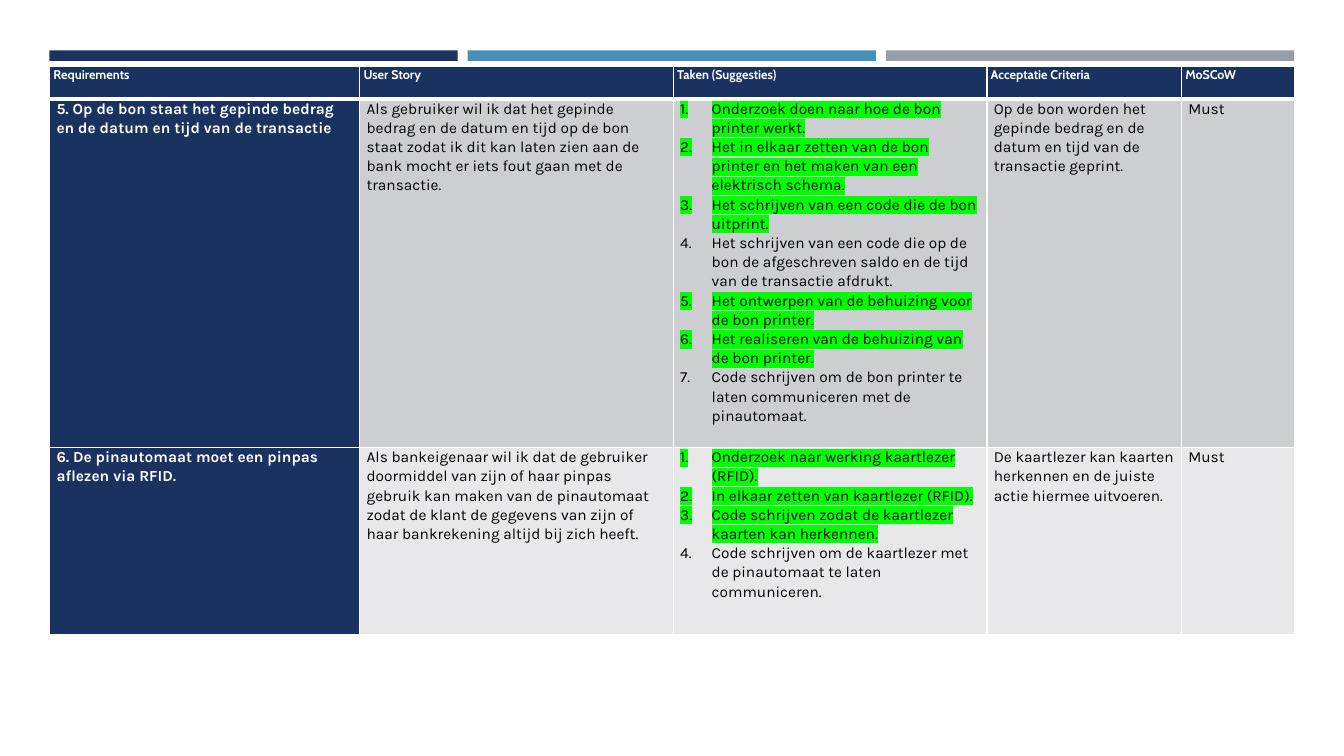
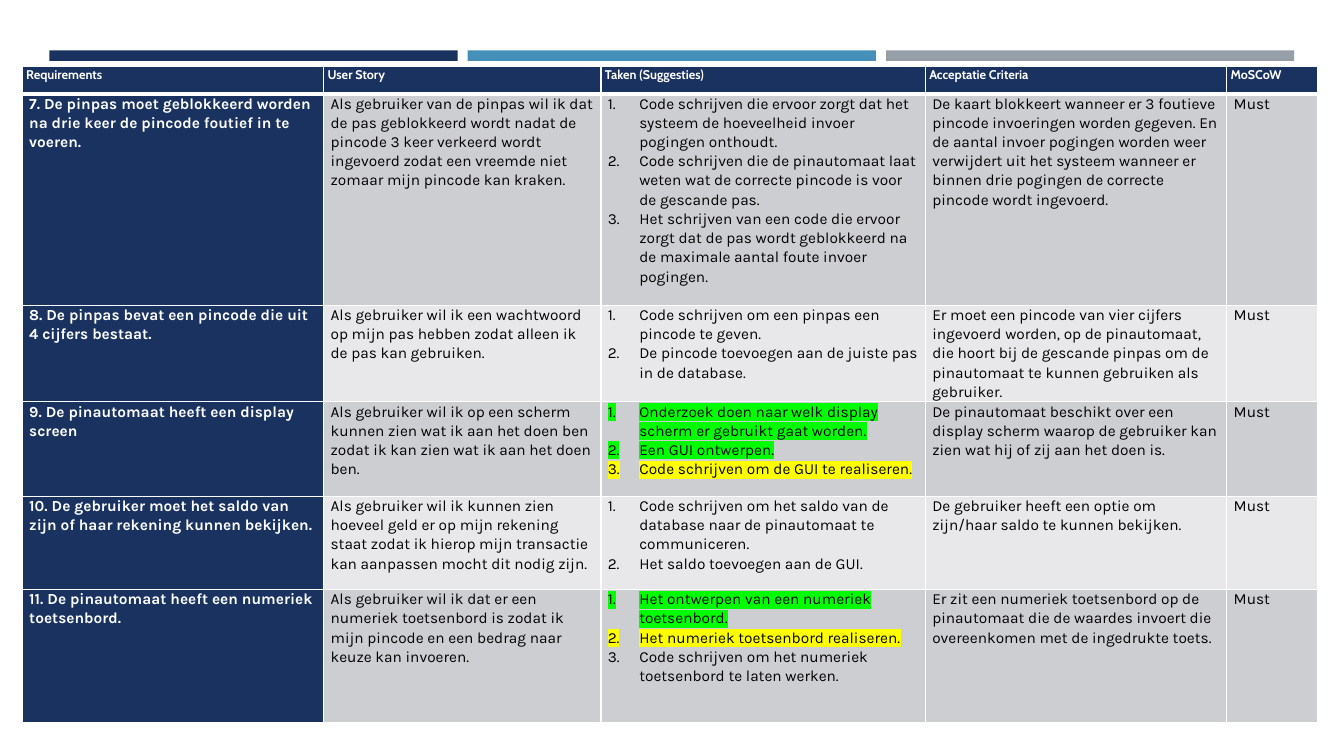
from dataclasses import dataclass

from lxml import etree
from pptx import Presentation
from pptx.dml.color import RGBColor as RGB
from pptx.enum.shapes import MSO_SHAPE as Shape
from pptx.oxml.ns import qn
from pptx.util import Pt

# Content: requirement, user story, tasks with their state, criterion, priority
OPEN, DONE, BUSY = "open", "done", "busy"
HEADINGS = ("Requirements", "User Story", "Taken (Suggesties)", "Acceptatie Criteria", "MoSCoW")

RECEIPT_AND_CARD = [
    ("5. Op de bon staat het gepinde bedrag en de datum en tijd van de transactie",
     "Als gebruiker wil ik dat het gepinde bedrag en de datum en tijd op de bon staat zodat ik dit "
     "kan laten zien aan de bank mocht er iets fout gaan met de transactie.",
     [("Onderzoek doen naar hoe de bon printer werkt.", DONE),
      ("Het in elkaar zetten van de bon printer en het maken van een elektrisch schema.", DONE),
      ("Het schrijven van een code die de bon uitprint.", DONE),
      ("Het schrijven van een code die op de bon de afgeschreven saldo en de tijd van de "
       "transactie afdrukt.", OPEN),
      ("Het ontwerpen van de behuizing voor de bon printer.", DONE),
      ("Het realiseren van de behuizing van de bon printer.", DONE),
      ("Code schrijven om de bon printer te laten communiceren met de pinautomaat.", OPEN)],
     "Op de bon worden het gepinde bedrag en de datum en tijd van de transactie geprint.",
     "Must"),
    ("6. De pinautomaat moet een pinpas aflezen via RFID.",
     "Als bankeigenaar wil ik dat de gebruiker doormiddel van zijn of haar pinpas gebruik kan maken "
     "van de pinautomaat zodat de klant de gegevens van zijn of haar bankrekening altijd bij zich "
     "heeft.",
     [("Onderzoek naar werking kaartlezer (RFID).", DONE),
      ("In elkaar zetten van kaartlezer (RFID).", DONE),
      ("Code schrijven zodat de kaartlezer kaarten kan herkennen.", DONE),
      ("Code schrijven om de kaartlezer met de pinautomaat te laten communiceren.", OPEN)],
     "De kaartlezer kan kaarten herkennen en de juiste actie hiermee uitvoeren.",
     "Must"),
]

PIN_AND_SCREEN = [
    ("7. De pinpas moet geblokkeerd worden na drie keer de pincode foutief in te voeren.",
     "Als gebruiker van de pinpas wil ik dat de pas geblokkeerd wordt nadat de pincode 3 keer "
     "verkeerd wordt ingevoerd zodat een vreemde niet zomaar mijn pincode kan kraken.",
     [("Code schrijven die ervoor zorgt dat het systeem de hoeveelheid invoer pogingen onthoudt.",
       OPEN),
      ("Code schrijven die de pinautomaat laat weten wat de correcte pincode is voor de gescande "
       "pas.", OPEN),
      ("Het schrijven van een code die ervoor zorgt dat de pas wordt geblokkeerd na de maximale "
       "aantal foute invoer pogingen.", OPEN)],
     "De kaart blokkeert wanneer er 3 foutieve pincode invoeringen worden gegeven. En de aantal "
     "invoer pogingen worden weer verwijdert uit het systeem wanneer er binnen drie pogingen de "
     "correcte pincode wordt ingevoerd.",
     "Must"),
    ("8. De pinpas bevat een pincode die uit 4 cijfers bestaat.",
     "Als gebruiker wil ik een wachtwoord op mijn pas hebben zodat alleen ik de pas kan gebruiken.",
     [("Code schrijven om een pinpas een pincode te geven.", OPEN),
      ("De pincode toevoegen aan de juiste pas in de database.", OPEN)],
     "Er moet een pincode van vier cijfers ingevoerd worden, op de pinautomaat, die hoort bij de "
     "gescande pinpas om de pinautomaat te kunnen gebruiken als gebruiker.",
     "Must"),
    ("9. De pinautomaat heeft een display screen",
     "Als gebruiker wil ik op een scherm kunnen zien wat ik aan het doen ben zodat ik kan zien wat "
     "ik aan het doen ben.",
     [("Onderzoek doen naar welk display scherm er gebruikt gaat worden.", DONE),
      ("Een GUI ontwerpen.", DONE),
      ("Code schrijven om de GUI te realiseren.", BUSY)],
     "De pinautomaat beschikt over een display scherm waarop de gebruiker kan zien wat hij of zij "
     "aan het doen is.",
     "Must"),
    ("10. De gebruiker moet het saldo van zijn of haar rekening kunnen bekijken.",
     "Als gebruiker wil ik kunnen zien hoeveel geld er op mijn rekening staat zodat ik hierop mijn "
     "transactie kan aanpassen mocht dit nodig zijn.",
     [("Code schrijven om het saldo van de database naar de pinautomaat te communiceren.", OPEN),
      ("Het saldo toevoegen aan de GUI.", OPEN)],
     "De gebruiker heeft een optie om zijn/haar saldo te kunnen bekijken.",
     "Must"),
    ("11. De pinautomaat heeft een numeriek toetsenbord.",
     "Als gebruiker wil ik dat er een numeriek toetsenbord is zodat ik mijn pincode en een bedrag "
     "naar keuze kan invoeren.",
     [("Het ontwerpen van een numeriek toetsenbord.", DONE),
      ("Het numeriek toetsenbord realiseren.", BUSY),
      ("Code schrijven om het numeriek toetsenbord te laten werken.", OPEN)],
     "Er zit een numeriek toetsenbord op de pinautomaat die de waardes invoert die overeenkomen "
     "met de ingedrukte toets.",
     "Must"),
]

# Per slide: requirements, left edge, column widths, row heights (points)
BACKLOG_SLIDES = [
    (RECEIPT_AND_CARD, 35.5, (221.5, 224, 224, 139, 81), (23, 249, 134)),
    (PIN_AND_SCREEN, 16, (215.3, 198, 231.8, 215.3, 65), (19.5, 151, 69, 67.5, 66.5, 95)),
]


@dataclass(frozen=True)
class Theme:
    navy: str = "1A3260"
    blue: str = "4590B8"
    grey: str = "969FA7"
    white: str = "FFFFFF"
    black: str = "000000"
    stripes: tuple = ("CDCED2", "E8E8EA")
    done: str = "00FF00"
    busy: str = "FFFF00"
    heading_font: str = "Cabin"
    body_font: str = "Karla"
    heading_size: float = 9
    body_size: float = 11


THEME = Theme()
MARKERS = {DONE: THEME.done, BUSY: THEME.busy}
TABLE_TOP = 47.5
BAND_LEFT, BAND_TOP, BAND_WIDTH, BAND_HEIGHT, BAND_GAP = 35.3, 36, 291.6, 7.5, 7.2
TASK_INDENT = 22.5


def add_bands(slide):
    for i, color in enumerate((THEME.navy, THEME.blue, THEME.grey)):
        left = BAND_LEFT + i * (BAND_WIDTH + BAND_GAP)
        band = slide.shapes.add_shape(Shape.RECTANGLE, Pt(left), Pt(BAND_TOP),
                                      Pt(BAND_WIDTH), Pt(BAND_HEIGHT))
        band.shadow.inherit = False
        band.fill.solid()
        band.fill.fore_color.rgb = RGB.from_string(color)
        band.line.fill.background()


def add_color(parent, tag, color):
    holder = etree.SubElement(parent, qn(tag))
    etree.SubElement(holder, qn("a:srgbClr")).set("val", color)
    return holder


def set_borders(cell, top, bottom):
    properties = cell._tc.get_or_add_tcPr()
    for i, (side, width) in enumerate((("L", 1), ("R", 1), ("T", top), ("B", bottom))):
        line = etree.Element(qn(f"a:ln{side}"), w=str(Pt(width)))
        add_color(line, "a:solidFill", THEME.white)
        properties.insert(i, line)


def style_cell(cell, fill, padding, top, bottom):
    cell.margin_left = cell.margin_right = Pt(padding)
    cell.margin_top = cell.margin_bottom = Pt(0)
    cell.fill.solid()
    cell.fill.fore_color.rgb = RGB.from_string(fill)
    set_borders(cell, top, bottom)


def write(paragraph, text, font, size, color, bold, marker=None):
    paragraph.text = text
    paragraph.line_spacing = 1.07
    run = paragraph.runs[0]
    run.font.name, run.font.size, run.font.bold = font, Pt(size), bold
    run.font.color.rgb = RGB.from_string(color)
    if marker:
        properties = run._r.get_or_add_rPr()
        highlight = add_color(properties, "a:highlight", marker)
        properties.find(qn("a:solidFill")).addnext(highlight)


def write_tasks(text_frame, tasks):
    for i, (task, state) in enumerate(tasks):
        paragraph = text_frame.add_paragraph() if i else text_frame.paragraphs[0]
        write(paragraph, task, THEME.body_font, THEME.body_size, THEME.black, False,
              MARKERS.get(state))
        properties = paragraph._p.get_or_add_pPr()
        properties.set("marL", str(Pt(TASK_INDENT)))
        properties.set("indent", str(-Pt(TASK_INDENT)))
        etree.SubElement(properties, qn("a:buAutoNum")).set("type", "arabicPeriod")
    paragraph.space_after = Pt(8)


def add_backlog(slide, requirements, left, widths, heights):
    table = slide.shapes.add_table(len(heights), len(widths), Pt(left), Pt(TABLE_TOP),
                                   Pt(sum(widths)), Pt(sum(heights))).table
    table.horz_banding = False
    for column, width in zip(table.columns, widths):
        column.width = Pt(width)
    for row, height in zip(table.rows, heights):
        row.height = Pt(height)

    # Heading row
    for c, heading in enumerate(HEADINGS):
        cell = table.cell(0, c)
        style_cell(cell, THEME.navy, 2.7, 1, 3)
        paragraph = cell.text_frame.paragraphs[0]
        write(paragraph, heading, THEME.heading_font, THEME.heading_size, THEME.white, True)
        paragraph.space_after = Pt(8)

    # One row per requirement
    for r, requirement in enumerate(requirements, start=1):
        for c, content in enumerate(requirement):
            cell, is_name = table.cell(r, c), c == 0
            fill = THEME.navy if is_name else THEME.stripes[(r - 1) % 2]
            style_cell(cell, fill, 4.9, 3 if r == 1 else 1, 1)
            if isinstance(content, list):
                write_tasks(cell.text_frame, content)
                continue
            paragraph = cell.text_frame.paragraphs[0]
            write(paragraph, content, THEME.body_font, THEME.body_size,
                  THEME.white if is_name else THEME.black, is_name)
            paragraph.space_after = Pt(8)


def main():
    deck = Presentation()
    deck.slide_width, deck.slide_height = Pt(960), Pt(540)
    for backlog in BACKLOG_SLIDES:
        slide = deck.slides.add_slide(deck.slide_layouts[6])
        add_bands(slide)
        add_backlog(slide, *backlog)
    deck.save("out.pptx")


if __name__ == "__main__":
    main()
